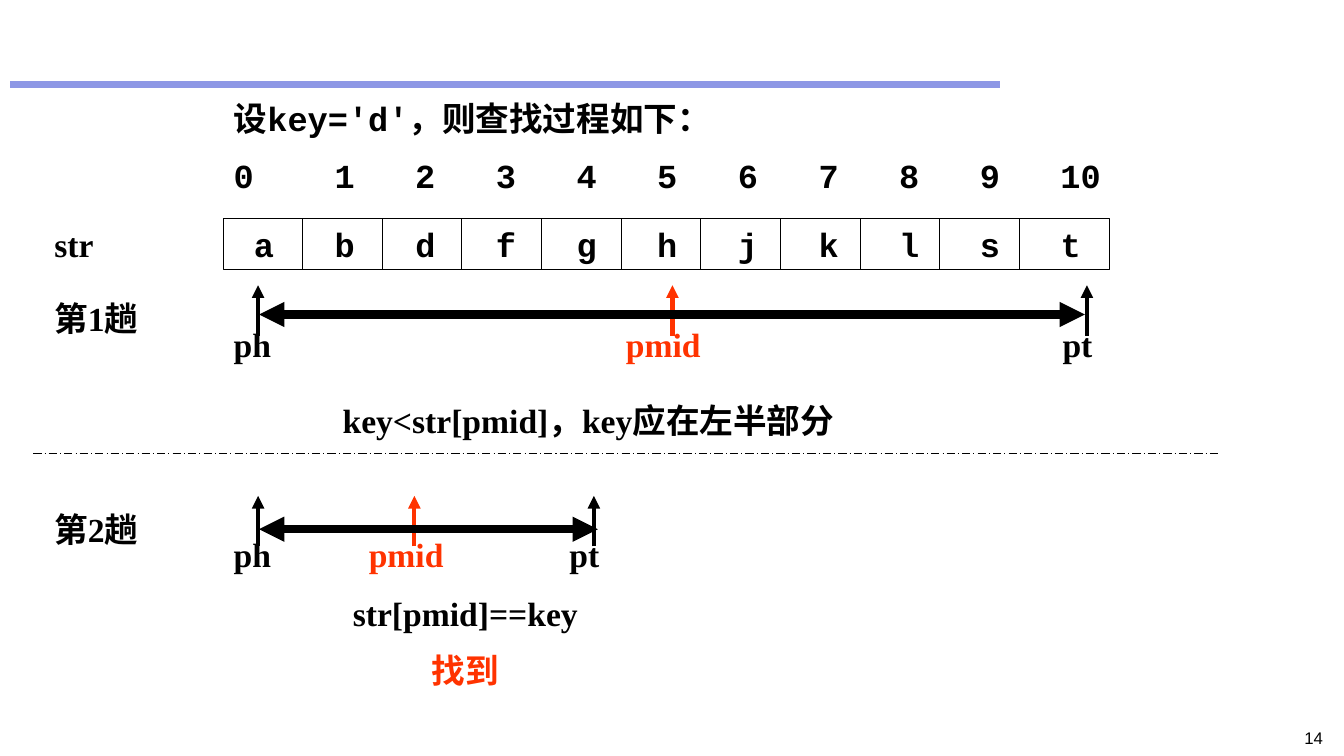
from dataclasses import dataclass

from lxml import etree
from pptx import Presentation
from pptx.dml.color import RGBColor
from pptx.enum.dml import MSO_LINE
from pptx.enum.shapes import MSO_CONNECTOR, MSO_SHAPE
from pptx.enum.text import MSO_ANCHOR, PP_ALIGN
from pptx.oxml.ns import qn
from pptx.util import Inches, Pt

LEFT, CENTER, RIGHT = PP_ALIGN.LEFT, PP_ALIGN.CENTER, PP_ALIGN.RIGHT
TOP = MSO_ANCHOR.TOP
RECT, STRAIGHT = MSO_SHAPE.RECTANGLE, MSO_CONNECTOR.STRAIGHT
DASH_DOT = MSO_LINE.LONG_DASH_DOT


@dataclass(frozen=True)
class Theme:
    ink: str = "000000"
    accent: str = "FF3300"
    rule: str = "8D97E5"
    serif: str = "Times New Roman"
    mono: str = "Courier New"
    sans: str = "Arial"
    body: int = 24
    small: int = 12
    gap: int = 12
    thin: float = 0.75
    pointer: float = 3
    header: float = 4.5
    span: float = 6


T = Theme()

LETTERS = list("abdfghjklst")
INDEXES = [str(i) for i in range(len(LETTERS))]
QUESTION = "设key='d'，则查找过程如下："
ARRAY_NAME = "str"
VERDICT = "key<str[pmid]，key应在左半部分"
RESULT = ["str[pmid]==key", "找到"]
PAGE = "14"

PASSES = [
    {
        "name": "第1趟", "top": 2.83, "span": (2.57, 10.76, 3.12),
        "pointers": [("ph", 2.56, 2.22, 1, T.ink),
                     ("pt", 10.78, 10.44, 1, T.ink),
                     ("pmid", 6.67, 6.11, 1.44, T.accent)],
    },
    {
        "name": "第2趟", "top": 4.92, "span": (2.57, 5.93, 5.25),
        "pointers": [("ph", 2.56, 2.22, 1, T.ink),
                     ("pmid", 4.11, 3.56, 1.33, T.accent),
                     ("pt", 5.89, 5.55, 0.67, T.ink)],
    },
]

MARGIN, ARRAY_LEFT, ARRAY_TOP = 0.44, 2.22, 2.17
ARRAY_W, ROW_H = 8.78, 0.5
FIRST_DIVIDER, CELL_W = 3, 0.79
FIRST_TAB, TAB_STEP, LETTER_TAB = 1, 0.8, 0.2

prs = Presentation()
prs.slide_width, prs.slide_height = Inches(13.33), Inches(7.5)
s = prs.slides.add_slide(prs.slide_layouts[6])


def set_tabs(p, stops):
    tabs = etree.SubElement(p._p.get_or_add_pPr(), qn("a:tabLst"))
    for stop in stops:
        etree.SubElement(tabs, qn("a:tab"), pos=str(Inches(stop)), algn="l")


def add_text(text, x, y, w, h=ROW_H, font=T.serif, size=T.body, colors=(T.ink,),
             bold=True, align=LEFT, shape=None, tabs=()):
    sp = shape or s.shapes.add_textbox(Inches(x), Inches(y), Inches(w), Inches(h))
    tf = sp.text_frame
    tf.word_wrap = True
    tf.vertical_anchor = TOP
    for i, line in enumerate(text.split("\n")):
        p = tf.paragraphs[0] if i == 0 else tf.add_paragraph()
        p.alignment = align
        if i:
            p.space_before = Pt(T.gap)
        if "\t" in line:
            set_tabs(p, tabs)
        r = p.add_run()
        r.text = line
        r.font.name, r.font.size, r.font.bold = font, Pt(size), bold
        r.font.color.rgb = RGBColor.from_string(colors[min(i, len(colors) - 1)])
    return sp


def add_line(x1, y1, x2, y2, width=T.thin, color=T.ink, ends=(), dash=None):
    c = s.shapes.add_connector(STRAIGHT, Inches(x1), Inches(y1), Inches(x2), Inches(y2))
    c.line.color.rgb = RGBColor.from_string(color)
    c.line.width = Pt(width)
    if dash:
        c.line.dash_style = dash
    for end in ends:
        etree.SubElement(c.line._get_or_add_ln(), qn(f"a:{end}"), type="triangle")
    etree.SubElement(c._element.spPr, qn("a:effectLst"))
    return c


def add_array():
    stops = [FIRST_TAB + TAB_STEP * i for i in range(len(LETTERS) - 1)]
    add_text(QUESTION + "\n" + "\t".join(INDEXES), ARRAY_LEFT, 0.92, 9.44, 1.11,
             font=T.mono, tabs=stops)
    box = s.shapes.add_shape(RECT, Inches(ARRAY_LEFT), Inches(ARRAY_TOP),
                             Inches(ARRAY_W), Inches(ROW_H))
    box.shadow.inherit = False
    box.fill.background()
    box.line.color.rgb = RGBColor.from_string(T.ink)
    box.line.width = Pt(T.thin)
    add_text("\t" + "\t".join(LETTERS), ARRAY_LEFT, ARRAY_TOP, ARRAY_W,
             font=T.mono, shape=box, tabs=[LETTER_TAB] + stops)
    add_text(ARRAY_NAME, MARGIN, ARRAY_TOP, 1)
    for i in range(len(LETTERS) - 1):
        x = FIRST_DIVIDER + CELL_W * i
        add_line(x, ARRAY_TOP, x, ARRAY_TOP + ROW_H)


def add_pass(name, top, span, pointers):
    add_text(name, MARGIN, top + 0.08, 1.67)
    for label, x, left, width, color in pointers:
        add_text(label, left, top + 0.33, width, colors=(color,))
        add_line(x, top + 0.5, x, top, T.pointer, color, ("tailEnd",))
    start, end, y = span
    add_line(start, y, end, y, T.span, ends=("headEnd", "tailEnd"))


add_line(0.1, 0.84, 9.92, 0.84, T.header, T.rule)
add_array()
for search_pass in PASSES:
    add_pass(**search_pass)
add_text(VERDICT, 3.3, 3.92, 7.03)
add_line(0.33, 4.5, 12.11, 4.5, dash=DASH_DOT)
add_text("\n".join(RESULT), 2.56, 5.83, 4.11, 1.11, colors=(T.ink, T.accent), align=CENTER)
add_text(PAGE, 11.91, 7.17, 1.31, 0.25, font=T.sans, size=T.small, bold=False, align=RIGHT)

prs.save("out.pptx")
